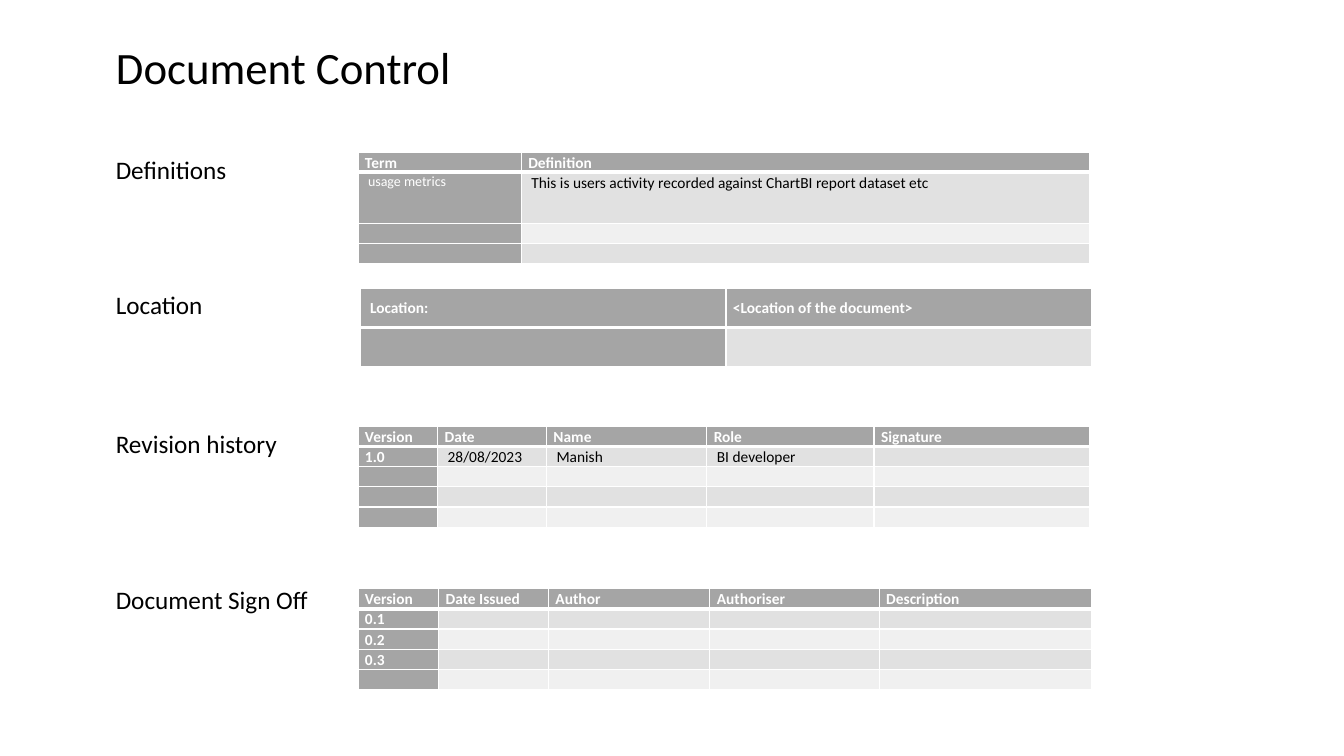
from lxml.etree import SubElement
from pptx import Presentation
from pptx.dml.color import RGBColor
from pptx.enum.text import MSO_ANCHOR, PP_ALIGN
from pptx.oxml.ns import qn
from pptx.util import Inches, Pt

FONT = "Calibri"
BLACK, WHITE = "000000", "FFFFFF"
HEADER_FILL = "A5A5A5"
BAND_FILLS = ("E1E1E1", "F0F0F0")
LABEL_LEFT = 1.05
CELL_MARGIN, INDENTED_MARGIN = 0.07, 0.1


def color(hex_value):
    return RGBColor.from_string(hex_value)


def set_font(font, size, hex_value, bold=False):
    font.name = FONT
    font.size = Pt(size)
    font.bold = bold
    font.color.rgb = color(hex_value)


def add_title(slide, text):
    title = slide.shapes.title
    title.left, title.top = Inches(LABEL_LEFT), Inches(0.34)
    title.width, title.height = Inches(7.53), Inches(0.64)
    frame = title.text_frame
    frame.text = text
    frame.vertical_anchor = MSO_ANCHOR.TOP
    paragraph = frame.paragraphs[0]
    paragraph.alignment = PP_ALIGN.LEFT
    set_font(paragraph.font, 32, BLACK)


def add_label(slide, text, top):
    box = slide.shapes.add_textbox(Inches(LABEL_LEFT), Inches(top), Inches(2.43), Inches(0.4))
    box.text_frame.word_wrap = True
    box.text_frame.text = text
    set_font(box.text_frame.paragraphs[0].font, 18, BLACK)


def set_borders(cell, bottom_width):
    properties = cell._tc.get_or_add_tcPr()
    for side, width in (("L", 1), ("R", 1), ("T", 1), ("B", bottom_width)):
        line = SubElement(properties, qn(f"a:ln{side}"), w=str(Pt(width)))
        fill = SubElement(line, qn("a:solidFill"))
        SubElement(fill, qn("a:srgbClr"), val=WHITE)


def format_cell(cell, text, row, column):
    is_heading = row == 0 or column == 0
    set_borders(cell, 3 if row == 0 else 1)
    cell.fill.solid()
    cell.fill.fore_color.rgb = color(HEADER_FILL if is_heading else BAND_FILLS[(row - 1) % 2])
    cell.margin_left = Inches(CELL_MARGIN if is_heading else INDENTED_MARGIN)
    cell.margin_right = Inches(CELL_MARGIN)
    cell.margin_top = cell.margin_bottom = 0
    cell.text_frame.text = text
    paragraph = cell.text_frame.paragraphs[0]
    paragraph.line_spacing = 1.07
    paragraph.space_after = Pt(8)
    if text:
        set_font(paragraph.font, 11, WHITE if is_heading else BLACK, is_heading)
    else:
        # An empty cell takes its line height from the end mark
        SubElement(paragraph._p, qn("a:endParaRPr"), sz="1100")


def add_grid(slide, left, top, widths, heights, rows):
    """Rows may be shorter than the grid; missing cells stay empty."""
    frame = slide.shapes.add_table(len(heights), len(widths), Inches(left), Inches(top),
                                   Inches(sum(widths)), Inches(sum(heights)))
    table = frame.table
    table.first_col = True
    for column, width in zip(table.columns, widths):
        column.width = Inches(width)
    for row, height in zip(table.rows, heights):
        row.height = Inches(height)
    for r in range(len(heights)):
        for c in range(len(widths)):
            text = rows[r][c] if r < len(rows) and c < len(rows[r]) else ""
            format_cell(table.cell(r, c), text, r, c)
    return table


def main():
    presentation = Presentation()
    presentation.slide_width, presentation.slide_height = Inches(13.33), Inches(7.5)
    slide = presentation.slides.add_slide(presentation.slide_layouts[5])
    add_title(slide, "Document Control")

    # Definitions
    add_label(slide, "Definitions", 1.48)
    definitions = add_grid(slide, 3.55, 1.51, [1.62, 5.64], [0.2, 0.51, 0.2, 0.2], [
        ["Term", "Definition"],
        ["usage metrics", "This is users activity recorded against ChartBI report dataset etc"],
    ])
    term = definitions.cell(1, 0)
    term.margin_left = Inches(INDENTED_MARGIN)
    set_font(term.text_frame.paragraphs[0].font, 10, WHITE)

    # Location
    add_label(slide, "Location", 2.82)
    location = add_grid(slide, 3.57, 2.86, [3.63, 3.63], [0.39, 0.39],
                        [["Location:", "<Location of the document>"]])
    for column in range(2):
        location.cell(0, column).vertical_anchor = MSO_ANCHOR.MIDDLE
    location.cell(0, 0).margin_left = Inches(INDENTED_MARGIN)

    # Revision history
    add_label(slide, "Revision history", 4.2)
    add_grid(slide, 3.55, 4.23, [0.79, 1.08, 1.59, 1.66, 2.14], [0.2] * 5, [
        ["Version", "Date", "Name", "Role", "Signature"],
        ["1.0", "28/08/2023", "Manish", "BI developer"],
    ])

    # Document sign off
    add_label(slide, "Document Sign Off", 5.75)
    add_grid(slide, 3.55, 5.84, [0.8, 1.09, 1.6, 1.68, 2.11], [0.2] * 5, [
        ["Version", "Date Issued", "Author", "Authoriser", "Description"],
        ["0.1"], ["0.2"], ["0.3"],
    ])

    presentation.save("out.pptx")


if __name__ == "__main__":
    main()
